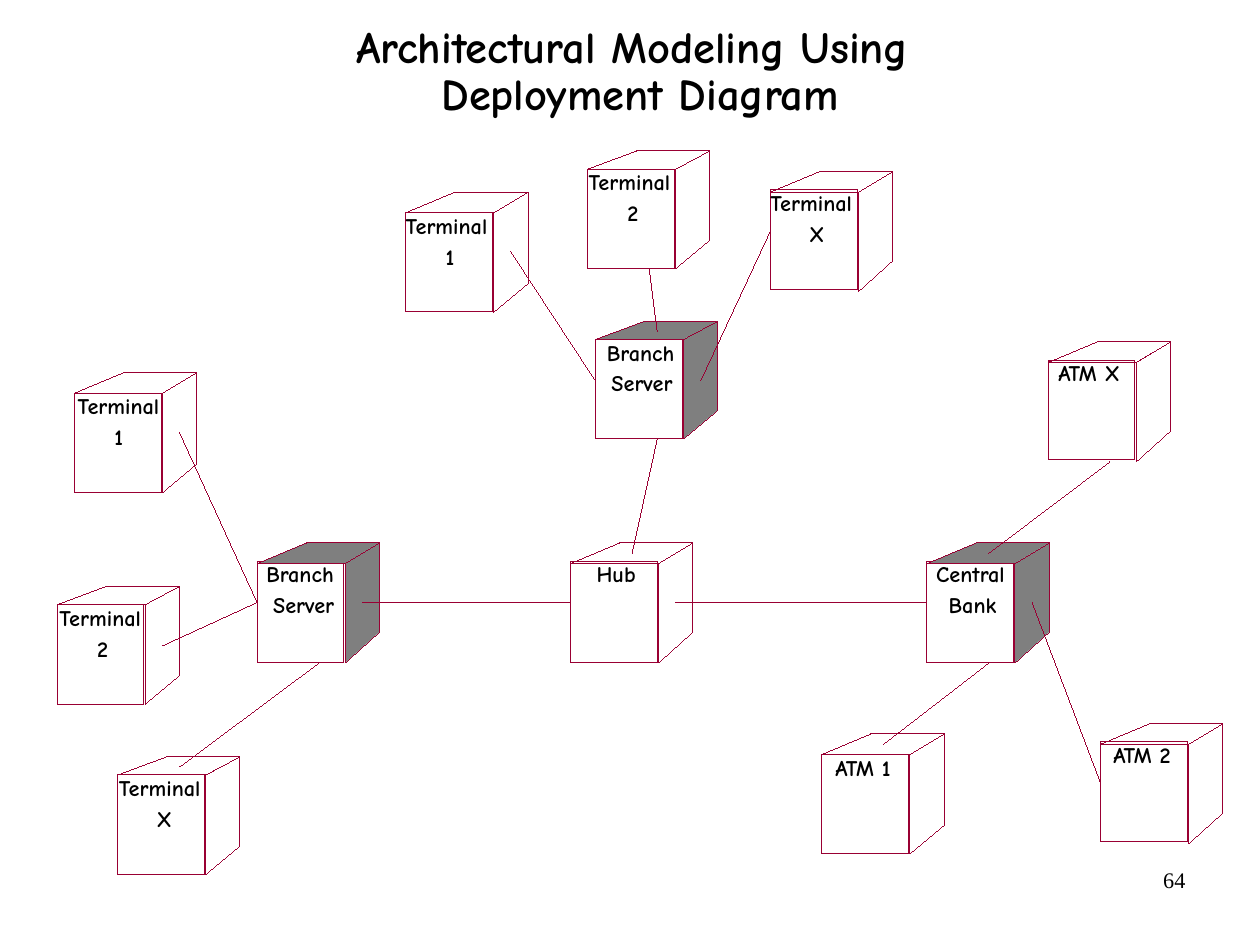
from dataclasses import dataclass

from lxml import etree
from pptx import Presentation
from pptx.dml.color import RGBColor
from pptx.enum.shapes import MSO_CONNECTOR, MSO_SHAPE
from pptx.enum.text import MSO_ANCHOR, PP_ALIGN
from pptx.oxml.ns import qn
from pptx.util import Inches, Pt

STRAIGHT = MSO_CONNECTOR.STRAIGHT
RECTANGLE = MSO_SHAPE.RECTANGLE
TOP, MIDDLE = MSO_ANCHOR.TOP, MSO_ANCHOR.MIDDLE
LEFT, CENTER, RIGHT = PP_ALIGN.LEFT, PP_ALIGN.CENTER, PP_ALIGN.RIGHT

BLACK = RGBColor(0x00, 0x00, 0x00)
GRAY = RGBColor(0x7F, 0x7F, 0x7F)
CRIMSON = RGBColor(0x99, 0x00, 0x33)
HAND_FONT = "Comic Neue"
NUMBER_FONT = "Times New Roman"

SLIDE_WIDTH = Inches(28 / 2.54)
SLIDE_HEIGHT = Inches(21 / 2.54)
CUBE_WIDTH = 1.07
FRONT_WIDTH = 0.77
SIDE_HEIGHT = 0.87
LABEL_PITCH = 0.27


@dataclass
class Node:
    left: float
    top: float
    labels: list
    lid: float = 0.18
    front: float = 0.16
    front_height: float = 0.87
    shaded: bool = False

    def anchor(self, name):
        across, down = {
            "left": (0, 0.52),
            "side": (0.92, 0.52),
            "lid": (0.54, 0.09),
            "base": (0.54, self.lid + SIDE_HEIGHT),
        }[name]
        return Inches(self.left + across), Inches(self.top + down)


NODES = {
    "west branch": Node(2.25, 4.75, [(0.08, "Branch"), (0.14, "Server")],
                        front_height=0.89, shaded=True),
    "west terminal 1": Node(0.65, 3.26, [(0.03, "Terminal"), (0.35, "1")], front=0.18),
    "west terminal 2": Node(0.5, 5.13, [(0.02, "Terminal"), (0.35, "2")], lid=0.16),
    "west terminal X": Node(1.03, 6.62, [(0.01, "Terminal"), (0.34, "X")], lid=0.16),
    "north branch": Node(5.21, 2.81, [(0.1, "Branch"), (0.14, "Server")],
                         lid=0.16, shaded=True),
    "north terminal 1": Node(3.55, 1.68, [(0, "Terminal"), (0.35, "1")], front=0.18),
    "north terminal 2": Node(5.14, 1.32, [(0.01, "Terminal"), (0.35, "2")], lid=0.16),
    "north terminal X": Node(6.74, 1.5, [(0, "Terminal"), (0.34, "X")]),
    "bank": Node(8.11, 4.75, [(0.08, "Central"), (0.19, "Bank")],
                 front_height=0.89, shaded=True),
    "ATM 1": Node(7.19, 6.42, [(0.12, "ATM 1")], front=0.18),
    "ATM 2": Node(9.63, 6.33, [(0.11, "ATM 2")]),
    "ATM X": Node(9.17, 2.99, [(0.09, "ATM X")]),
    "hub": Node(4.99, 4.75, [(0.23, "Hub")], front_height=0.89),
}

LINKS = [
    ("west branch", "left", "west terminal 1", "side"),
    ("west branch", "left", "west terminal 2", "side"),
    ("west branch", "base", "west terminal X", "lid"),
    ("north branch", "left", "north terminal 1", "side"),
    ("north branch", "lid", "north terminal 2", "base"),
    ("north branch", "side", "north terminal X", "left"),
    ("ATM X", "base", "bank", "lid"),
    ("bank", "side", "ATM 2", "left"),
    ("bank", "base", "ATM 1", "lid"),
    ("bank", "left", "hub", "side"),
    ("west branch", "side", "hub", "left"),
    ("north branch", "base", "hub", "lid"),
]


def add_text(slide, box, text, size, font=HAND_FONT, bold=True, align=LEFT,
             anchor=TOP, spacing=0.8, margin=0):
    frame = slide.shapes.add_textbox(*(Inches(value) for value in box)).text_frame
    frame.word_wrap = True
    frame.vertical_anchor = anchor
    frame.margin_left = frame.margin_right = Inches(margin)
    frame.margin_top = frame.margin_bottom = Inches(margin / 2)
    paragraph = frame.paragraphs[0]
    paragraph.text = text
    paragraph.alignment = align
    paragraph.line_spacing = spacing
    paragraph.font.name = font
    paragraph.font.size = Pt(size)
    paragraph.font.bold = bold
    paragraph.font.color.rgb = BLACK


def set_hairline(shape):
    shape.line.color.rgb = CRIMSON
    shape.line.width = Pt(0)
    shape._element.remove(shape._element.find(qn("p:style")))


def style_face(shape, shaded):
    shape.shadow.inherit = False
    set_hairline(shape)
    if shaded:
        shape.fill.solid()
        shape.fill.fore_color.rgb = GRAY
    else:
        shape.fill.background()


def add_face(slide, node, corners):
    points = [(Inches(node.left + across), Inches(node.top + down))
              for across, down in corners]
    builder = slide.shapes.build_freeform(*points[0])
    builder.add_line_segments(points[1:], close=True)
    style_face(builder.convert_to_shape(), node.shaded)


def add_cube(slide, node):
    front = slide.shapes.add_shape(
        RECTANGLE, Inches(node.left), Inches(node.top + node.front),
        Inches(FRONT_WIDTH - 0.01), Inches(node.front_height))
    style_face(front, False)
    add_face(slide, node, [(0, node.lid), (0.43, 0), (CUBE_WIDTH, 0),
                           (FRONT_WIDTH, node.lid)])
    add_face(slide, node, [(FRONT_WIDTH, node.lid), (CUBE_WIDTH, 0),
                           (CUBE_WIDTH, node.front + 0.62),
                           (FRONT_WIDTH, node.lid + SIDE_HEIGHT)])
    for row, (indent, label) in enumerate(node.labels):
        label_top = node.top + node.front + 0.04 + row * LABEL_PITCH
        add_text(slide, (node.left + indent, label_top, 0.9, 0.23), label, 14)


def add_link(slide, start, end):
    connector = slide.shapes.add_connector(STRAIGHT, *start, *end)
    set_hairline(connector)
    etree.SubElement(connector._element.spPr, qn("a:effectLst"))


def add_deployment_diagram(slide):
    for node in NODES.values():
        add_cube(slide, node)
    for source, source_anchor, target, target_anchor in LINKS:
        add_link(slide, NODES[source].anchor(source_anchor),
                 NODES[target].anchor(target_anchor))


def main():
    presentation = Presentation()
    presentation.slide_width = SLIDE_WIDTH
    presentation.slide_height = SLIDE_HEIGHT
    slide = presentation.slides.add_slide(presentation.slide_layouts[6])
    add_text(slide, (7.9, 7.53, 2.57, 0.57), "64", 14, font=NUMBER_FONT,
             bold=False, align=RIGHT, spacing=1.0, margin=0.1)
    add_text(slide, (0.9, -0.05, 9.4, 1.37),
             "Architectural Modeling Using \vDeployment Diagram", 28,
             align=CENTER, anchor=MIDDLE, spacing=0.88)
    add_deployment_diagram(slide)
    presentation.save("out.pptx")


if __name__ == "__main__":
    main()
